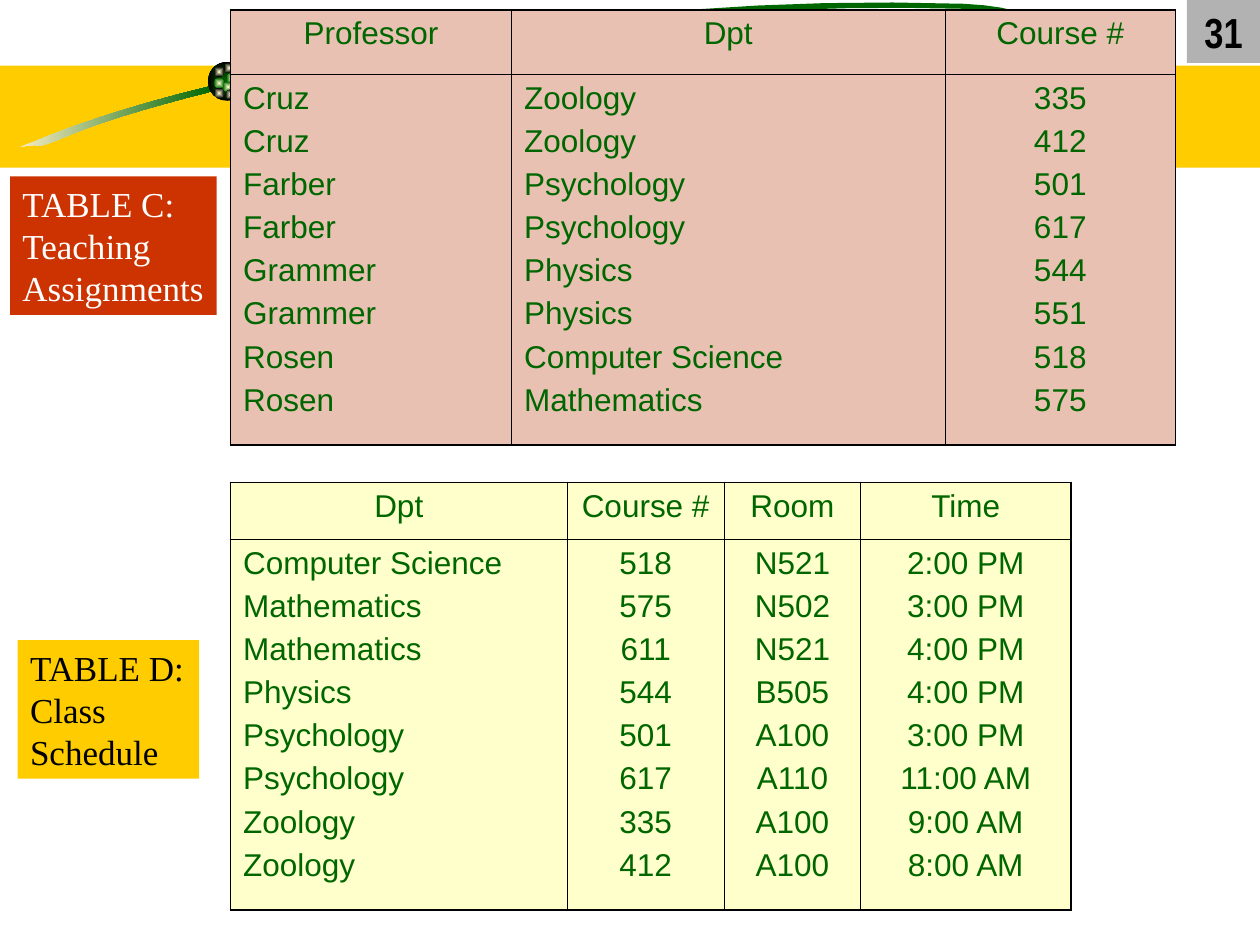
from lxml.etree import SubElement
from pptx import Presentation
from pptx.dml.color import RGBColor
from pptx.enum.shapes import MSO_SHAPE as Shape
from pptx.enum.text import MSO_ANCHOR as Anchor, MSO_AUTO_SIZE as AutoSize, PP_ALIGN as Align
from pptx.oxml import parse_xml
from pptx.oxml.ns import nsdecls, qn
from pptx.util import Inches, Pt

COLORS = {
    "gold": "FFCC00", "green": "006600", "black": "000000", "white": "FFFFFF",
    "sand": "F5EBC1", "cream": "FFFFCC", "gray": "B2B2B2", "rose": "E9C1B3", "red": "CC3300",
}
TABLES = [
    {
        "position": (1.83, 0.08), "widths": [2.23, 3.44, 1.83], "heights": [0.51, 2.94],
        "fill": "rose", "left_columns": (0, 1),
        "header": ["Professor", "Dpt", "Course #"],
        "rows": [
            ("Cruz", "Zoology", "335"),
            ("Cruz", "Zoology", "412"),
            ("Farber", "Psychology", "501"),
            ("Farber", "Psychology", "617"),
            ("Grammer", "Physics", "544"),
            ("Grammer", "Physics", "551"),
            ("Rosen", "Computer Science", "518"),
            ("Rosen", "Mathematics", "575"),
        ],
    },
    {
        "position": (1.83, 3.83), "widths": [2.67, 1.25, 1.08, 1.67], "heights": [0.45, 2.94],
        "fill": "cream", "left_columns": (0,),
        "header": ["Dpt", "Course #", "Room", "Time"],
        "rows": [
            ("Computer Science", "518", "N521", "2:00 PM"),
            ("Mathematics", "575", "N502", "3:00 PM"),
            ("Mathematics", "611", "N521", "4:00 PM"),
            ("Physics", "544", "B505", "4:00 PM"),
            ("Psychology", "501", "A100", "3:00 PM"),
            ("Psychology", "617", "A110", "11:00 AM"),
            ("Zoology", "335", "A100", "9:00 AM"),
            ("Zoology", "412", "A100", "8:00 AM"),
        ],
    },
]
LABELS = [
    ("TABLE C:\nTeaching\vAssignments", (0.08, 1.4, 1.64, 1.1), "red", "white"),
    ("TABLE D:\nClass\nSchedule", (0.14, 5.08, 1.44, 1.1), "gold", "black"),
]
TAIL = [
    (1.69, 0.68),
    (0.87, 0.88), (0.48, 1.04), (0.26, 1.13),
    (0.03, 1.21), (0.27, 1.13), (0.31, 1.16),
    (0.55, 1.1), (0.56, 1.01), (1.7, 0.72),
]
RIBBON = [
    (1.92, 0.65),
    (2.33, 0.58), (4.58, -0.07), (7.65, 0.03),
    (8.61, 0.08), (8.05, 0.4), (7.94, 0.44),
    (7.94, 0.44), (7.87, 0.45), (7.83, 0.45),
    (7.93, 0.42), (8.61, 0.12), (7.64, 0.07),
    (5.16, 0), (3.03, 0.41), (1.95, 0.69),
]
BEAD_SIZE = 0.08
BEADS = [
    (1.8, 0.58, "green"), (1.7, 0.53, "black"), (1.7, 0.62, "green"), (1.77, 0.65, "green"),
    (1.87, 0.64, "black"), (1.79, 0.71, "black"), (1.7, 0.7, "black"), (1.78, 0.5, "black"),
]
CURVE_STEPS = 16


def rgb(name):
    return RGBColor.from_string(COLORS[name])


def paint(shape, color):
    shape.shadow.inherit = False
    shape.line.fill.background()
    shape.fill.solid()
    shape.fill.fore_color.rgb = rgb(color)


def paint_gradient(shape, start, end, centred=False):
    paint(shape, end)
    shape.fill.gradient()
    shape.fill.gradient_angle = 0
    for stop, position, color in zip(shape.fill.gradient_stops, (0, 1), (start, end)):
        stop.position = position
        stop.color.rgb = rgb(color)
    if centred:
        gradient = shape._element.spPr.find(qn("a:gradFill"))
        gradient.remove(gradient.find(qn("a:lin")))
        centre = SubElement(gradient, qn("a:path"), {"path": "rect"})
        SubElement(centre, qn("a:fillToRect"), dict.fromkeys("ltrb", "50000"))


def add_box(slide, kind, box, color):
    shape = slide.shapes.add_shape(kind, *map(Inches, box))
    paint(shape, color)
    return shape


def add_curve(slide, points):
    outline = [points[0]]
    for index in range(0, len(points) - 1, 3):
        a, b, c, d = points[index:index + 4]
        for step in range(1, CURVE_STEPS + 1):
            t = step / CURVE_STEPS
            u = 1 - t
            outline.append(tuple(
                u**3 * a[k] + 3 * u * u * t * b[k] + 3 * u * t * t * c[k] + t**3 * d[k]
                for k in (0, 1)
            ))
    scaled = [(Inches(x), Inches(y)) for x, y in outline]
    builder = slide.shapes.build_freeform(*scaled[0])
    builder.add_line_segments(scaled[1:], close=True)
    return builder.convert_to_shape()


def format_text(text_frame, size, font, color, align, space=0, bold=False):
    for paragraph in text_frame.paragraphs:
        paragraph.alignment = align
        paragraph.space_before = Pt(space)
        paragraph.font.size = Pt(size)
        paragraph.font.name = font
        paragraph.font.bold = bold
        paragraph.font.color.rgb = rgb(color)


def set_borders(cell, outer_sides):
    for index, side in enumerate("LRTB"):
        width = Pt(1.08 if side in outer_sides else 0.45)
        cell._tc.get_or_add_tcPr().insert(index, parse_xml(
            f'<a:ln{side} {nsdecls("a")} w="{width}"><a:solidFill>'
            f'<a:srgbClr val="{COLORS["black"]}"/></a:solidFill></a:ln{side}>'
        ))


def add_course_table(slide, data):
    widths, heights = data["widths"], data["heights"]
    box = (*data["position"], sum(widths), sum(heights))
    table = slide.shapes.add_table(len(heights), len(widths), *map(Inches, box)).table
    table.first_row = table.horz_banding = False
    for row, height in zip(table.rows, heights):
        row.height = Inches(height)
    for column, values in enumerate(zip(*data["rows"])):
        table.columns[column].width = Inches(widths[column])
        for row, text in enumerate((data["header"][column], "\n".join(values))):
            cell = table.cell(row, column)
            cell.text = text
            cell.fill.solid()
            cell.fill.fore_color.rgb = rgb(data["fill"])
            left = row == 1 and column in data["left_columns"]
            format_text(cell.text_frame, 18, "Arial", "green",
                        Align.LEFT if left else Align.CENTER, space=4.5)
            outer = "T" if row == 0 else "B"
            outer += "L" if column == 0 else ""
            outer += "R" if column == len(widths) - 1 else ""
            set_borders(cell, outer)


def main():
    presentation = Presentation()
    presentation.slide_width, presentation.slide_height = Inches(10), Inches(7.5)
    slide = presentation.slides.add_slide(presentation.slide_layouts[6])

    add_box(slide, Shape.RECTANGLE, (0, 0.52, 10, 0.81), "gold")
    paint_gradient(add_curve(slide, TAIL), "sand", "green")
    paint(add_curve(slide, RIBBON), "green")
    ball = add_box(slide, Shape.OVAL, (1.65, 0.49, 0.31, 0.31), "black")
    paint_gradient(ball, "green", "black", centred=True)
    for left, top, color in BEADS:
        bead = add_box(slide, Shape.OVAL, (left, top, BEAD_SIZE, BEAD_SIZE), color)
        paint_gradient(bead, "cream", color, centred=True)

    number = add_box(slide, Shape.RECTANGLE, (9.42, 0, 0.58, 0.5), "gray")
    number.text_frame.text = "31"
    format_text(number.text_frame, 24, "Arial Narrow", "black", Align.CENTER, bold=True)

    for data in TABLES:
        add_course_table(slide, data)
    for text, box, fill, color in LABELS:
        label = add_box(slide, Shape.RECTANGLE, box, fill)
        label.text_frame.text = text
        label.text_frame.word_wrap = False
        label.text_frame.auto_size = AutoSize.SHAPE_TO_FIT_TEXT
        label.text_frame.vertical_anchor = Anchor.TOP
        format_text(label.text_frame, 20, "Times New Roman", color, Align.LEFT)

    presentation.save("out.pptx")


if __name__ == "__main__":
    main()
